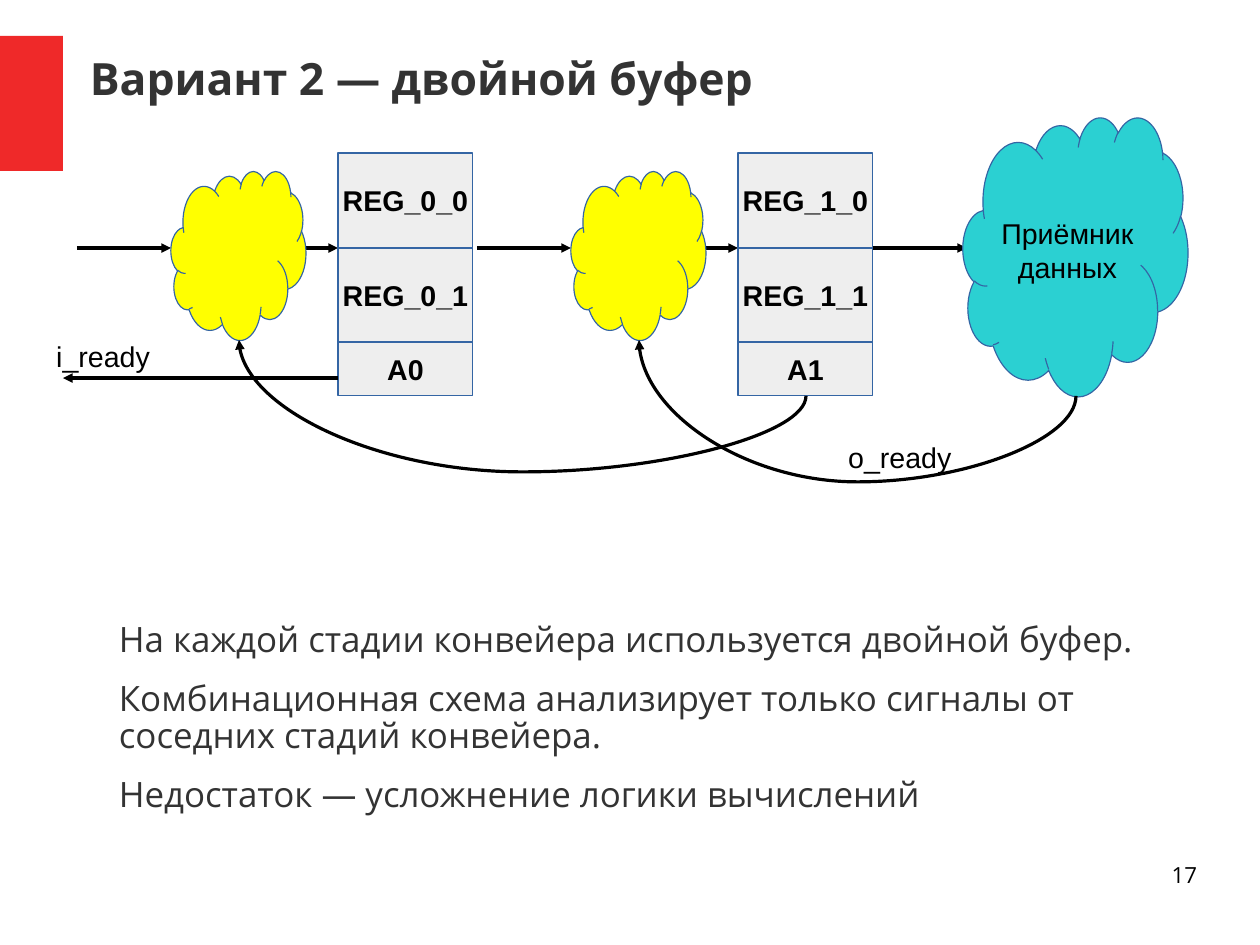
"""Build the slide about a double-buffered pipeline."""
from dataclasses import dataclass

from lxml import etree
from pptx import Presentation
from pptx.dml.color import RGBColor
from pptx.enum import shapes, text
from pptx.oxml.ns import qn
from pptx.util import Emu, Pt

PX = 8000


@dataclass(frozen=True)
class Theme:
    accent: str = "EF2929"
    heading: str = "333333"
    ink: str = "000000"
    outline: str = "3465A4"
    register: str = "EEEEEE"
    logic: str = "FFFF00"
    receiver: str = "2BD0D2"
    sans: str = "Open Sans"
    label: str = "Arial"
    title_size: int = 28
    body_size: int = 22
    label_size: int = 18
    number_size: int = 14


theme = Theme()
deck = Presentation()
deck.slide_width, deck.slide_height = Emu(1260 * PX), Emu(945 * PX)
page = deck.slides.add_slide(deck.slide_layouts[6])


def write(content, *, at=None, shape=None, fill=None, line=None, size=theme.label_size,
          font=theme.label, color=theme.ink, bold=False, align=text.PP_ALIGN.LEFT,
          anchor=text.MSO_ANCHOR.TOP, wrap=False, inset=True, indent=0, after=0, spacing=None):
    """Place text in a plain box, or in a filled shape when one is given."""
    frame = [Emu(value * PX) for value in at]
    if shape is None:
        box = page.shapes.add_textbox(*frame)
    else:
        box = page.shapes.add_shape(shape, *frame)
        box.shadow.inherit = False
        box.fill.solid()
        box.fill.fore_color.rgb = RGBColor.from_string(fill)
        if line:
            box.line.color.rgb = RGBColor.from_string(line)
            box.line.width = Emu(0)
        else:
            box.line.fill.background()
    body = box.text_frame
    body.word_wrap = wrap
    body.vertical_anchor = anchor
    if not inset:
        body.margin_left = body.margin_right = body.margin_top = body.margin_bottom = 0
    for index, sentence in enumerate(content):
        para = body.add_paragraph() if index else body.paragraphs[0]
        para.alignment = align
        para.space_after = Pt(after)
        if spacing:
            para.line_spacing = spacing
        if indent:
            properties = para._p.get_or_add_pPr()
            properties.set("marL", str(indent * PX))
            properties.set("indent", "0")
        span = para.add_run()
        span.text = sentence
        span.font.name, span.font.size, span.font.bold = font, Pt(size), bold
        span.font.color.rgb = RGBColor.from_string(color)


def arrow(start, end, dip=None):
    """Draw a straight arrow, or a curve that hangs down to the dip level."""
    kind = shapes.MSO_CONNECTOR.STRAIGHT
    points = (*start, *end)
    if dip:
        kind = shapes.MSO_CONNECTOR.CURVE
        middle_x, middle_y = (start[0] + end[0]) / 2, (start[1] + end[1]) / 2
        half_drop, half_span = (start[1] - end[1]) / 2, (start[0] - end[0]) / 2
        points = (middle_x - half_drop, middle_y + half_span,
                  middle_x + half_drop, middle_y - half_span)
    link = page.shapes.add_connector(kind, *[Emu(int(value * PX)) for value in points])
    link.line.color.rgb = RGBColor.from_string(theme.ink)
    link.line.width = Emu(0)
    properties = link._element.spPr
    etree.SubElement(properties.find(qn("a:ln")), qn("a:tailEnd"), type="triangle")
    etree.SubElement(properties, qn("a:effectLst"))
    if dip:
        properties.find(qn("a:xfrm")).set("rot", "16200000")
        bend = round(-100000 * (dip - start[1]) / (start[1] - end[1]))
        guides = properties.find(qn("a:prstGeom")).get_or_add_avLst()
        etree.SubElement(guides, qn("a:gd"), name="adj1", fmla=f"val {bend}")


center, middle = text.PP_ALIGN.CENTER, text.MSO_ANCHOR.MIDDLE
rectangle, cloud = shapes.MSO_SHAPE.RECTANGLE, shapes.MSO_SHAPE.CLOUD

write([], at=(0, 36, 63, 135), shape=rectangle, fill=theme.accent)
write(["Вариант 2 — двойной буфер"], at=(90, 38, 1107, 79), size=theme.title_size,
      font=theme.sans, color=theme.heading, bold=True, anchor=middle, wrap=True, inset=False)

for tip in (171, 338, 571, 738, 967):
    arrow((tip - 94, 248), (tip, 248))

for stage in range(2):
    offset = stage * 400
    write([], at=(171 + offset, 171, 135, 169), shape=cloud, fill=theme.logic, line=theme.outline)
    for name, top, height in ((f"REG_{stage}_0", 153, 95), (f"REG_{stage}_1", 248, 94),
                              (f"A{stage}", 342, 54)):
        write([name], at=(338 + offset, top, 135, height), shape=rectangle, fill=theme.register,
              line=theme.outline, bold=True, align=center, anchor=middle)

write(["Приёмник", "данных"], at=(963, 117, 225, 279), shape=cloud, fill=theme.receiver,
      line=theme.outline, align=center, anchor=middle)

arrow((338, 378), (63, 378))
arrow((806, 396), (239, 340), dip=472)
arrow((1076, 396), (639, 340), dip=482)
write(["i_ready"], at=(45, 333, 117, 43))
write(["o_ready"], at=(837, 434, 126, 43))

write(["На каждой стадии конвейера используется двойной буфер.",
       "Комбинационная схема анализирует только сигналы от соседних стадий конвейера.",
       "Недостаток — усложнение логики вычислений"],
      at=(65, 623, 1152, 243), size=theme.body_size, font=theme.sans, color=theme.heading,
      wrap=True, inset=False, indent=54, after=14.1, spacing=0.88)
write(["17"], at=(903, 861, 294, 65), size=theme.number_size, font=theme.sans,
      align=text.PP_ALIGN.RIGHT, wrap=True, inset=False)

deck.save("out.pptx")
